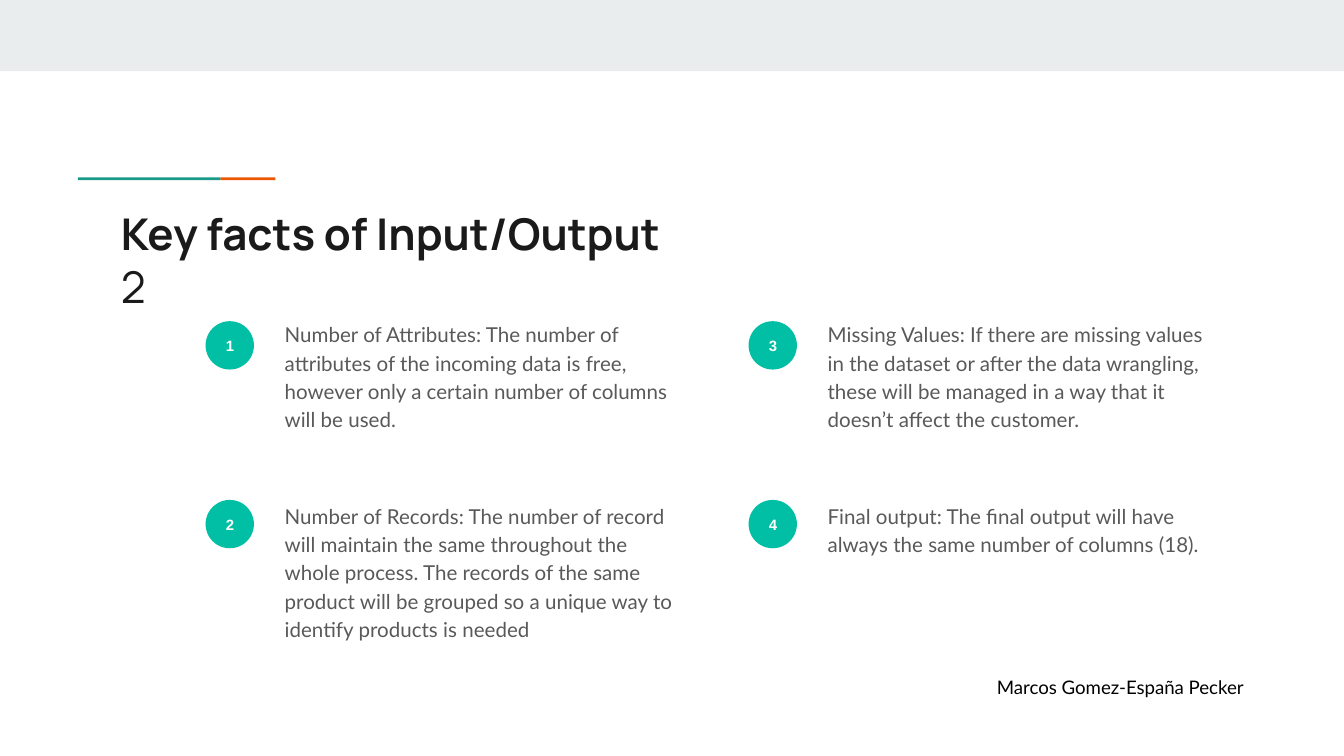
import pptx
import pptx.dml.color
import pptx.enum.shapes
import pptx.enum.text
import pptx.util

Inches = pptx.util.Inches
Shape = pptx.enum.shapes.MSO_SHAPE
Anchor = pptx.enum.text.MSO_ANCHOR
Align = pptx.enum.text.PP_ALIGN

FACTS = [
    "Number of Attributes: The number of attributes of the incoming data is free, "
    "however only a certain number of columns will be used.",
    "Number of Records: The number of record will maintain the same throughout the "
    "whole process. The records of the same product will be grouped so a unique way "
    "to identify products is needed",
    "Missing Values: If there are missing values in the dataset or after the data "
    "wrangling, these will be managed in a way that it doesn’t affect the customer.",
    "Final output: The final output will have always the same number of columns (18).",
]


def color(hex_string):
    return pptx.dml.color.RGBColor.from_string(hex_string)


def write(p, text, font="Lato", size=11, fill="595959", bold=False,
          align=Align.LEFT, spacing=1.0, after=0):
    """Add text to a paragraph as one formatted run."""
    p.alignment = align
    p.line_spacing = spacing
    p.space_before = pptx.util.Pt(0)
    p.space_after = pptx.util.Pt(after)
    r = p.add_run()
    r.text = text
    r.font.name = font
    r.font.size = pptx.util.Pt(size)
    r.font.bold = bold
    r.font.color.rgb = color(fill)


class Deck:
    """Holds the palette and the current slide."""

    BAND, TEAL, ORANGE, BADGE = "E9EDEE", "1A9988", "EB5600", "00BFA5"

    def __init__(self, prs):
        self.s = prs.slides.add_slide(prs.slide_layouts[5])

    def frame(self, sp, anchor=Anchor.TOP):
        tf = sp.text_frame
        tf.word_wrap = True
        tf.auto_size = pptx.enum.text.MSO_AUTO_SIZE.NONE
        tf.vertical_anchor = anchor
        tf.margin_left = tf.margin_right = Inches(0.1)
        tf.margin_top = tf.margin_bottom = Inches(0.1)
        return tf

    def shape(self, kind, x, y, w, h, fill):
        sp = self.s.shapes.add_shape(kind, Inches(x), Inches(y), Inches(w), Inches(h))
        sp.shadow.inherit = False
        sp.fill.solid()
        sp.fill.fore_color.rgb = color(fill)
        sp.line.fill.background()
        return sp

    def title(self, first, second, x, y, w, h):
        sp = self.s.shapes.title
        sp.left, sp.top, sp.width, sp.height = map(Inches, (x, y, w, h))
        tf = self.frame(sp)
        style = dict(font="Manrope", size=23.4, fill="1A1A1A")
        write(tf.paragraphs[0], first, bold=True, **style)
        write(tf.add_paragraph(), second, **style)

    def badge(self, number, x, y):
        sp = self.shape(Shape.OVAL, x, y, 0.36, 0.36, self.BADGE)
        p = self.frame(sp, Anchor.MIDDLE).paragraphs[0]
        write(p, str(number), font="Arial", size=8, fill="FFFFFF", bold=True,
              align=Align.CENTER)

    def text(self, text, x, y, w, h, **style):
        sp = self.s.shapes.add_textbox(Inches(x), Inches(y), Inches(w), Inches(h))
        write(self.frame(sp).paragraphs[0], text, **style)


def main():
    prs = pptx.Presentation()
    prs.slide_width, prs.slide_height = Inches(10), Inches(10 * 9 / 16)
    deck = Deck(prs)

    deck.shape(Shape.RECTANGLE, 0, 0, 10, 0.53, deck.BAND)
    deck.shape(Shape.RECTANGLE, 1.64, 1.32, 0.41, 0.02, deck.ORANGE)
    deck.shape(Shape.RECTANGLE, 0.58, 1.32, 1.06, 0.02, deck.TEAL)
    deck.title("Key facts of Input/Output", "2", 0.8, 1.44, 8.41, 0.59)

    for i, fact in enumerate(FACTS):
        column, row = divmod(i, 2)
        x = 1.53 + 4.04 * column
        deck.badge(i + 1, x, 2.39 + 1.33 * row)
        deck.text(fact, x + 0.49, 2.27 + 1.35 * row, 3.1, 1.32,
                  spacing=1.15, after=12)

    deck.text("Marcos Gomez-España Pecker", 7.32, 4.93, 2.1, 0.37,
              size=10, fill="000000")
    prs.save("out.pptx")


if __name__ == "__main__":
    main()
